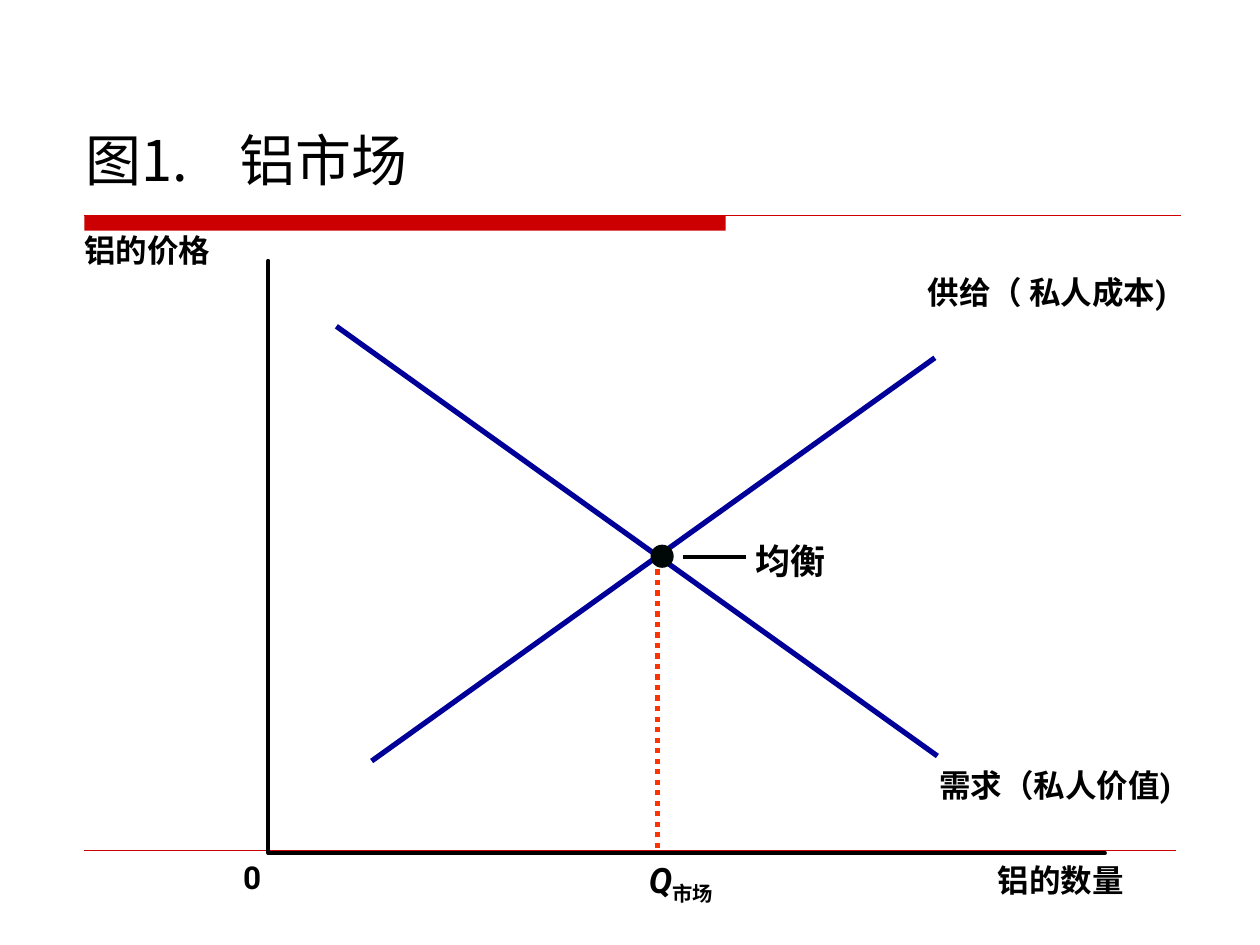
"""Draw the aluminium market diagram: supply, demand and their equilibrium."""
from lxml import etree
from pptx import Presentation
from pptx import util as u
from pptx.dml.color import RGBColor
from pptx.enum import dml, shapes, text
from pptx.oxml import ns

RED, NAVY, ORANGE, BLACK, DOT = "CC0000", "000099", "FF3300", "000000", "000807"
LABEL = {"size": u.Pt(18), "bold": True, "name": "Roboto"}
LARGE = {**LABEL, "size": u.Pt(20)}
TITLE = {"size": u.Pt(32), "bold": False, "name": "Noto Sans CJK SC"}


def colour(hex_value):
    return RGBColor.from_string(hex_value)


class Diagram:
    def __init__(self, slide, asian_font="Noto Sans CJK SC"):
        self.slide = slide
        self.asian_font = asian_font

    def stroke(self, line, hex_value, width):
        line.color.rgb = colour(hex_value)
        line.width = u.Pt(width)

    def line(self, start, end, hex_value, width, dash=None):
        points = [u.Inches(value) for value in (*start, *end)]
        connector = self.slide.shapes.add_connector(shapes.MSO_CONNECTOR.STRAIGHT, *points)
        self.stroke(connector.line, hex_value, width)
        if dash:
            connector.line.dash_style = dash
        etree.SubElement(connector._element.spPr, ns.qn("a:effectLst"))

    def solid(self, kind, box, hex_value, width=None):
        shape = self.slide.shapes.add_shape(kind, *map(u.Inches, box))
        shape.shadow.inherit = False
        shape.fill.solid()
        shape.fill.fore_color.rgb = colour(hex_value)
        if width:
            self.stroke(shape.line, hex_value, width)
        else:
            shape.line.fill.background()

    def open_path(self, points, hex_value, width):
        first, *rest = [(u.Inches(x), u.Inches(y)) for x, y in points]
        builder = self.slide.shapes.build_freeform(*first)
        builder.add_line_segments(rest, close=False)
        shape = builder.convert_to_shape()
        shape.shadow.inherit = False
        shape.fill.background()
        self.stroke(shape.line, hex_value, width)
        outline = shape._element.spPr.find(ns.qn("a:ln"))
        outline.set("cap", "rnd")
        etree.SubElement(outline, ns.qn("a:round"))

    def run(self, paragraph, words, style, baseline=None):
        run = paragraph.add_run()
        run.text = words
        for attribute, value in style.items():
            setattr(run.font, attribute, value)
        run.font.color.rgb = colour(BLACK)
        properties = run._r.get_or_add_rPr()
        etree.SubElement(properties, ns.qn("a:ea"), typeface=self.asian_font)
        if baseline:
            properties.set("baseline", str(baseline))

    def label(self, words, box, style=LABEL, wrap=False, frame=None, layout=None, tab=None):
        textbox = self.slide.shapes.add_textbox(*map(u.Inches, box))
        text_frame = textbox.text_frame
        margins = dict.fromkeys(
            ("margin_left", "margin_top", "margin_right", "margin_bottom"), 0)
        for attribute, value in {**margins, "word_wrap": wrap, **(frame or {})}.items():
            setattr(text_frame, attribute, value)
        paragraph = text_frame.paragraphs[0]
        for attribute, value in (layout or {}).items():
            setattr(paragraph, attribute, value)
        if tab:
            stops = etree.SubElement(paragraph._p.get_or_add_pPr(), ns.qn("a:tabLst"))
            etree.SubElement(stops, ns.qn("a:tab"), pos=str(u.Inches(tab)), algn="l")
        self.run(paragraph, words, style)
        return paragraph


def main():
    deck = Presentation()
    deck.slide_width, deck.slide_height = u.Inches(10), u.Inches(7.5)
    diagram = Diagram(deck.slides.add_slide(deck.slide_layouts[6]))
    centred = {"alignment": text.PP_ALIGN.CENTER}
    title_frame = {
        "vertical_anchor": text.MSO_ANCHOR.BOTTOM,
        "margin_left": u.Inches(0.1), "margin_right": u.Inches(0.1),
        "margin_top": u.Inches(0.05), "margin_bottom": u.Inches(0.05),
    }

    diagram.solid(shapes.MSO_SHAPE.RECTANGLE, (0.67, 1.71, 5.09, 0.12), RED)
    diagram.line((0.67, 1.71), (9.37, 1.71), RED, 0.75)
    diagram.line((0.67, 6.75), (9.33, 6.75), RED, 0.25)
    diagram.label("图1.\t铝市场", (0.58, 0.36, 9.08, 1.22), TITLE, True, title_frame, tab=1.22)

    diagram.line((7.42, 2.84), (2.95, 6.04), NAVY, 3)
    diagram.label("铝的数量", (7.92, 6.83, 2.16, 0.3), wrap=True)
    diagram.label("0", (1.93, 6.81, 0.15, 0.3))
    diagram.label("铝的价格", (0.67, 1.83, 1, 0.3))
    diagram.open_path([(2.13, 2.07), (2.13, 6.77), (8.77, 6.77)], BLACK, 2.25)

    diagram.line((5.22, 6.73), (5.22, 4.43), ORANGE, 3, dml.MSO_LINE.ROUND_DOT)
    quantity = diagram.label("Q", (5.15, 6.81, 0.98, 0.38), {**LARGE, "italic": True}, True)
    diagram.run(quantity, "市场", LARGE, baseline=-25000)

    diagram.label("需求（私人价值)", (6.75, 6.08, 3.25, 0.3), wrap=True, layout=centred)
    diagram.label("供给（ 私人成本)", (7.33, 2.17, 1.96, 0.3), layout=centred)
    diagram.line((2.67, 2.59), (7.44, 6), NAVY, 3)

    diagram.label("均衡", (6, 4.25, 0.56, 0.37), LARGE, layout={"line_spacing": 1.1})
    diagram.line((5.42, 4.42), (5.92, 4.42), BLACK, 2.25)
    diagram.solid(shapes.MSO_SHAPE.OVAL, (5.17, 4.33, 0.17, 0.17), DOT, 1)
    deck.save("out.pptx")


if __name__ == "__main__":
    main()
